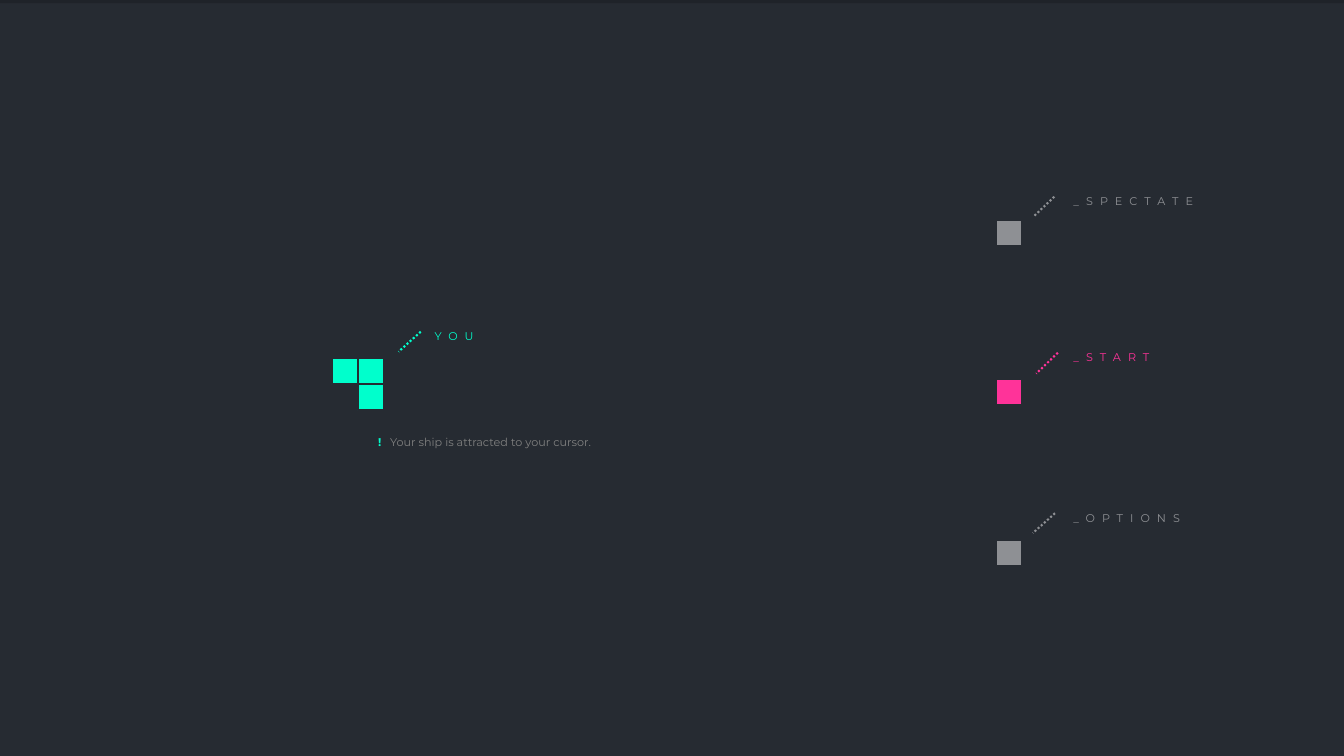
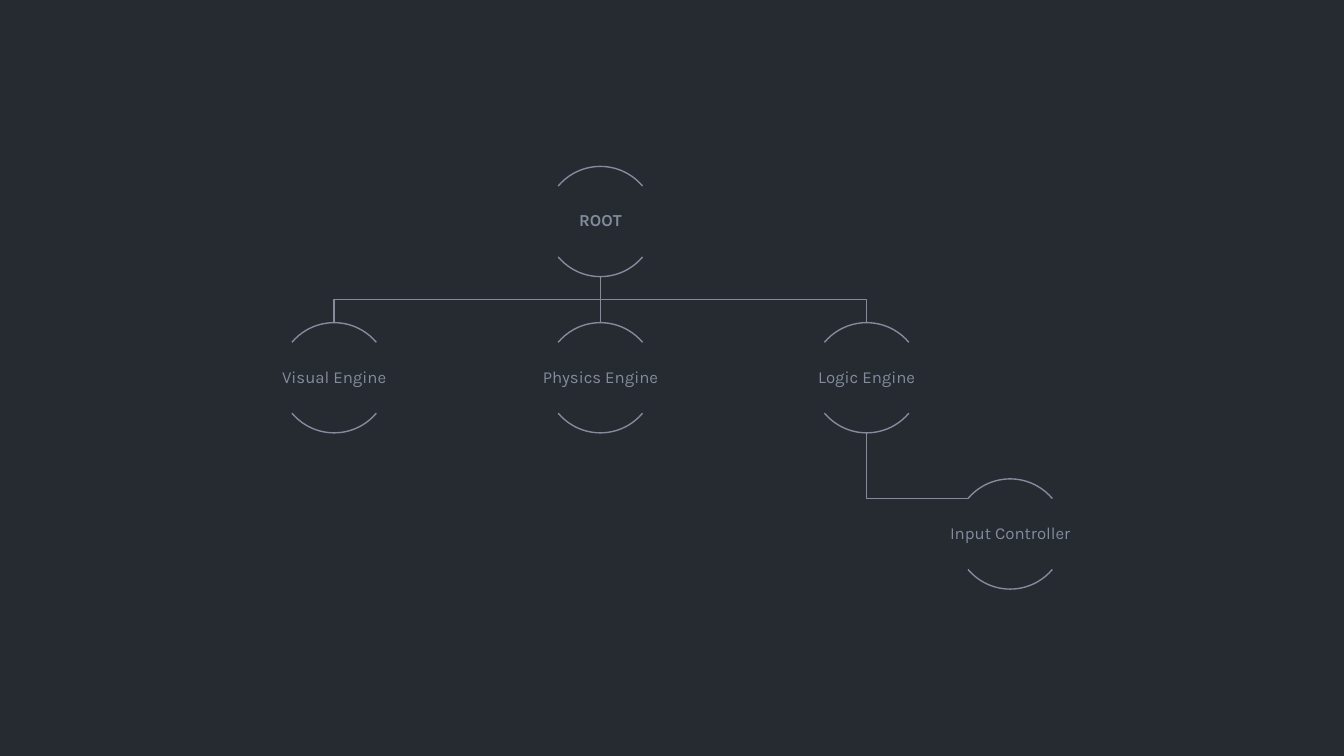
from dataclasses import dataclass
from itertools import pairwise
from math import cos, radians, sin
from lxml.etree import SubElement
from pptx import Presentation
from pptx.dml.color import RGBColor
from pptx.enum.dml import MSO_LINE
from pptx.enum.shapes import MSO_CONNECTOR, MSO_SHAPE
from pptx.enum.text import MSO_ANCHOR, PP_ALIGN
from pptx.oxml.ns import qn
from pptx.util import Pt


@dataclass(frozen=True)
class Theme:
    back: str = "262B32"
    band: str = "1F2329"
    mint: str = "00FFCC"
    pink: str = "FF3399"
    grey: str = "8E9094"
    hint: str = "808080"
    slate: str = "838B9D"
    menu: str = "Montserrat"
    tree: str = "Karla"
    small: float = 8
    large: float = 12
    thin: float = 1
    thick: float = 1.5


THEME = Theme()
WIDE, HIGH = 960, 540
CELL = 18.6


def tint(hue):
    return RGBColor.from_string(hue)


def style(shape, fill=None, line=None, width=THEME.thin):
    shape.shadow.inherit = False
    if fill:
        shape.fill.solid()
        shape.fill.fore_color.rgb = tint(fill)
    else:
        shape.fill.background()
    if line:
        shape.line.color.rgb = tint(line)
        shape.line.width = Pt(width)
    else:
        shape.line.fill.background()


def draw(slide, kind, box, **look):
    shape = slide.shapes.add_shape(kind, *map(Pt, box))
    style(shape, **look)
    return shape


def write(shape, text, hue, font=THEME.menu, size=THEME.small, bold=False, gap=0,
          inset=(5.76, 0, 0, 0), align=PP_ALIGN.LEFT, anchor=MSO_ANCHOR.TOP, lead=1.0):
    frame = shape.text_frame
    frame.word_wrap = True
    frame.vertical_anchor = anchor
    frame.margin_left, frame.margin_top, frame.margin_right, frame.margin_bottom = map(Pt, inset)
    para = frame.paragraphs[0]
    para.alignment = align
    para.line_spacing = lead
    run = para.add_run()
    run.text = text
    run.font.name = font
    run.font.size = Pt(size)
    run.font.bold = bold
    run.font.color.rgb = tint(hue)
    if gap:
        run.font._rPr.set("spc", str(gap * 100))


def block(slide, left, top, hue):
    draw(slide, MSO_SHAPE.RECTANGLE, (left, top, CELL, CELL),
         fill=hue, line=THEME.back, width=THEME.thick)


def label(slide, text, box, hue, tip):
    shape = draw(slide, MSO_SHAPE.LINE_CALLOUT_1_NO_BORDER, box, line=hue, width=THEME.thick)
    shape.line.dash_style = MSO_LINE.ROUND_DOT
    for index, value in enumerate((0.19, -0.08, *tip)):
        shape.adjustments[index] = value
    write(shape, text, hue, gap=5)


def ship(slide, left, top):
    for col, row in ((0, 0), (1, 0), (1, 1)):
        block(slide, left + col * CELL, top + row * CELL, THEME.mint)
    label(slide, "YOU", (left + 67.7, top - 20.9, 51.1, 10.8), THEME.mint, (1.51, -0.39))
    hint = slide.shapes.add_textbox(*map(Pt, (left + 27.4, top + 55.4, 160.6, 10.8)))
    write(hint, "! ", THEME.mint, bold=True, gap=2)
    write(hint, "Your ship is attracted to your cursor.", THEME.hint)


def menu(slide, left, top):
    items = (
        ("_SPECTATE", 0, 18, 98.6, 7.9, THEME.grey, (1.98, -0.23)),
        ("_START", 110.9, 20.9, 67, 10.8, THEME.pink, (1.57, -0.31)),
        ("_OPTIONS", 226.1, 20.9, 92.9, 7.9, THEME.grey, (1.98, -0.25)),
    )
    for text, down, drop, width, height, hue, tip in items:
        block(slide, left, top + down + drop, hue)
        label(slide, text, (left + 49.5, top + down, width, height), hue, tip)


def start(slide):
    draw(slide, MSO_SHAPE.RECTANGLE, (0, 0, WIDE, 2.2), fill=THEME.band)
    menu(slide, 711.5, 139)
    ship(slide, 236.9, 255.8)


def link(slide, points):
    spots = [(Pt(x), Pt(y)) for x, y in points]
    if len(spots) == 2:
        (ax, ay), (bx, by) = spots
        line = slide.shapes.add_connector(MSO_CONNECTOR.STRAIGHT, ax, ay, bx, by)
        line.line.color.rgb = tint(THEME.slate)
        line.line.width = Pt(THEME.thin)
        SubElement(line.element.spPr, qn("a:effectLst"))
        return
    path = slide.shapes.build_freeform(*spots[0])
    path.add_line_segments(spots[1:], close=False)
    style(path.convert_to_shape(), line=THEME.slate)


def node(slide, text, mid, top, size, bold=False):
    for sweep in ((132, 192), (24, 84)):
        arc = draw(slide, MSO_SHAPE.ARC, (mid - size / 2, top, size, size), line=THEME.slate)
        arc.adjustments[0], arc.adjustments[1] = sweep
    wide, high = size * 2, 50.4
    box = slide.shapes.add_textbox(
        *map(Pt, (mid - wide / 2, top + (size - high) / 2, wide, high)))
    write(box, text, THEME.slate, font=THEME.tree, size=THEME.large, bold=bold,
          inset=(0.72,) * 4, align=PP_ALIGN.CENTER, anchor=MSO_ANCHOR.MIDDLE, lead=0.9)


def tree(slide, mid, top, size=78.7, step=190.2, drop=111.6):
    rows = [top + drop * row for row in range(3)]
    cols = [mid + step * col for col in (-1, 0, 1)]
    last = cols[2] + 102.5
    foot = top + size
    bend = (foot + rows[1]) / 2
    angle = radians(40)
    edge = last - size / 2 * cos(angle)
    level = rows[2] + size / 2 * (1 - sin(angle))
    link(slide, [(cols[2], rows[1] + size), (cols[2], level), (edge, level)])
    for col in cols:
        turn = [] if col == mid else [(mid, bend), (col, bend)]
        link(slide, [(mid, foot), *turn, (col, rows[1])])
    node(slide, "ROOT", mid, top, size, bold=True)
    for text, col in zip(("Visual Engine", "Physics Engine", "Logic Engine"), cols):
        node(slide, text, col, rows[1], size)
    node(slide, "Input Controller", last, rows[2], size)


def build():
    deck = Presentation()
    deck.slide_width, deck.slide_height = Pt(WIDE), Pt(HIGH)
    fill = deck.slide_master.background.fill
    fill.solid()
    fill.fore_color.rgb = tint(THEME.back)
    blank = deck.slide_layouts[6]
    start(deck.slides.add_slide(blank))
    tree(deck.slides.add_slide(blank), 428.9, 118.9)
    deck.save("out.pptx")


build()
